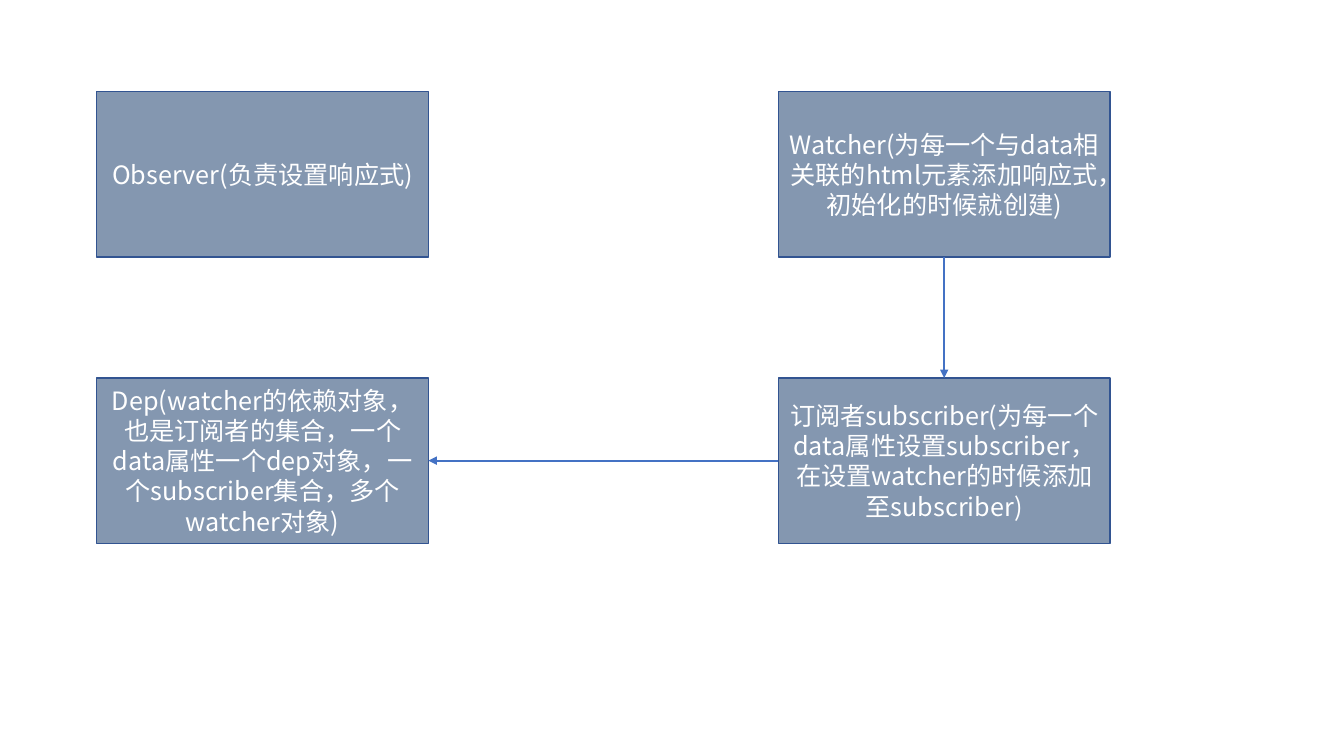
import pptx
import pptx.dml.color
import pptx.enum.shapes
import pptx.enum.text
import pptx.oxml.ns
import pptx.util
from lxml import etree

Inches = pptx.util.Inches
RGBColor = pptx.dml.color.RGBColor

FONT = "Noto Sans CJK SC"
BOX_FILL = RGBColor(0x84, 0x97, 0xB0)
BOX_LINE = RGBColor(0x32, 0x54, 0x91)
ARROW = RGBColor(0x44, 0x72, 0xC4)
WHITE = RGBColor(0xFF, 0xFF, 0xFF)

BOX_WIDTH, BOX_HEIGHT = 3.29, 1.64
COLUMN_STEP, ROW_STEP = 6.76, 2.84
TOP, LEFT, BOTTOM, RIGHT = range(4)

BOXES = {
    "observer": (0, 0, "Observer(负责设置响应式)"),
    "dep": (0, 1, "Dep(watcher的依赖对象，也是订阅者的集合，一个data属性一个dep对象，"
                  "一个subscriber集合，多个watcher对象)"),
    "subscriber": (1, 1, "订阅者subscriber(为每一个data属性设置subscriber，"
                         "在设置watcher的时候添加至subscriber)"),
    "watcher": (1, 0, "Watcher(为每一个与data相关联的html元素添加响应式，初始化的时候就创建)"),
}
ARROWS = [("subscriber", LEFT, "dep", RIGHT), ("watcher", BOTTOM, "subscriber", TOP)]


def write_text(shape, text, size=18, color=WHITE, font=FONT):
    """Put centred, wrapped text into a shape."""
    frame = shape.text_frame
    frame.word_wrap = True
    frame.vertical_anchor = pptx.enum.text.MSO_ANCHOR.MIDDLE
    paragraph = frame.paragraphs[0]
    paragraph.alignment = pptx.enum.text.PP_ALIGN.CENTER
    run = paragraph.add_run()
    run.text = text
    run.font.size = pptx.util.Pt(size)
    run.font.name = font
    run.font.color.rgb = color
    east_asian = etree.SubElement(run.font._element, pptx.oxml.ns.qn("a:ea"))
    east_asian.set("typeface", font)


def add_box(slide, left, top, text):
    """Add one labelled rectangle."""
    shape = slide.shapes.add_shape(
        pptx.enum.shapes.MSO_SHAPE.RECTANGLE,
        Inches(left), Inches(top), Inches(BOX_WIDTH), Inches(BOX_HEIGHT))
    shape.shadow.inherit = False
    shape.fill.solid()
    shape.fill.fore_color.rgb = BOX_FILL
    shape.line.color.rgb = BOX_LINE
    shape.line.width = pptx.util.Pt(1)
    write_text(shape, text)
    return shape


def add_arrow(slide, start, start_side, end, end_side):
    """Join two boxes with an arrow pointing at the second."""
    connector = slide.shapes.add_connector(
        pptx.enum.shapes.MSO_CONNECTOR.STRAIGHT, 0, 0, 0, 0)
    connector.begin_connect(start, start_side)
    connector.end_connect(end, end_side)
    connector.line.color.rgb = ARROW
    connector.line.width = pptx.util.Pt(1.5)
    properties = connector._element.spPr
    line = properties.find(pptx.oxml.ns.qn("a:ln"))
    etree.SubElement(line, pptx.oxml.ns.qn("a:tailEnd")).set("type", "triangle")
    etree.SubElement(properties, pptx.oxml.ns.qn("a:effectLst"))


def add_reactivity_diagram(slide, left, top):
    """Lay the boxes on a two-by-two grid and join them."""
    shapes = {
        name: add_box(slide, left + column * COLUMN_STEP, top + row * ROW_STEP, text)
        for name, (column, row, text) in BOXES.items()
    }
    for start, start_side, end, end_side in ARROWS:
        add_arrow(slide, shapes[start], start_side, shapes[end], end_side)


def main():
    """Build and save the presentation."""
    presentation = pptx.Presentation()
    presentation.slide_width = Inches(13.33)
    presentation.slide_height = Inches(7.5)
    slide = presentation.slides.add_slide(presentation.slide_layouts[6])
    add_reactivity_diagram(slide, left=0.96, top=0.91)
    presentation.save("out.pptx")


main()
